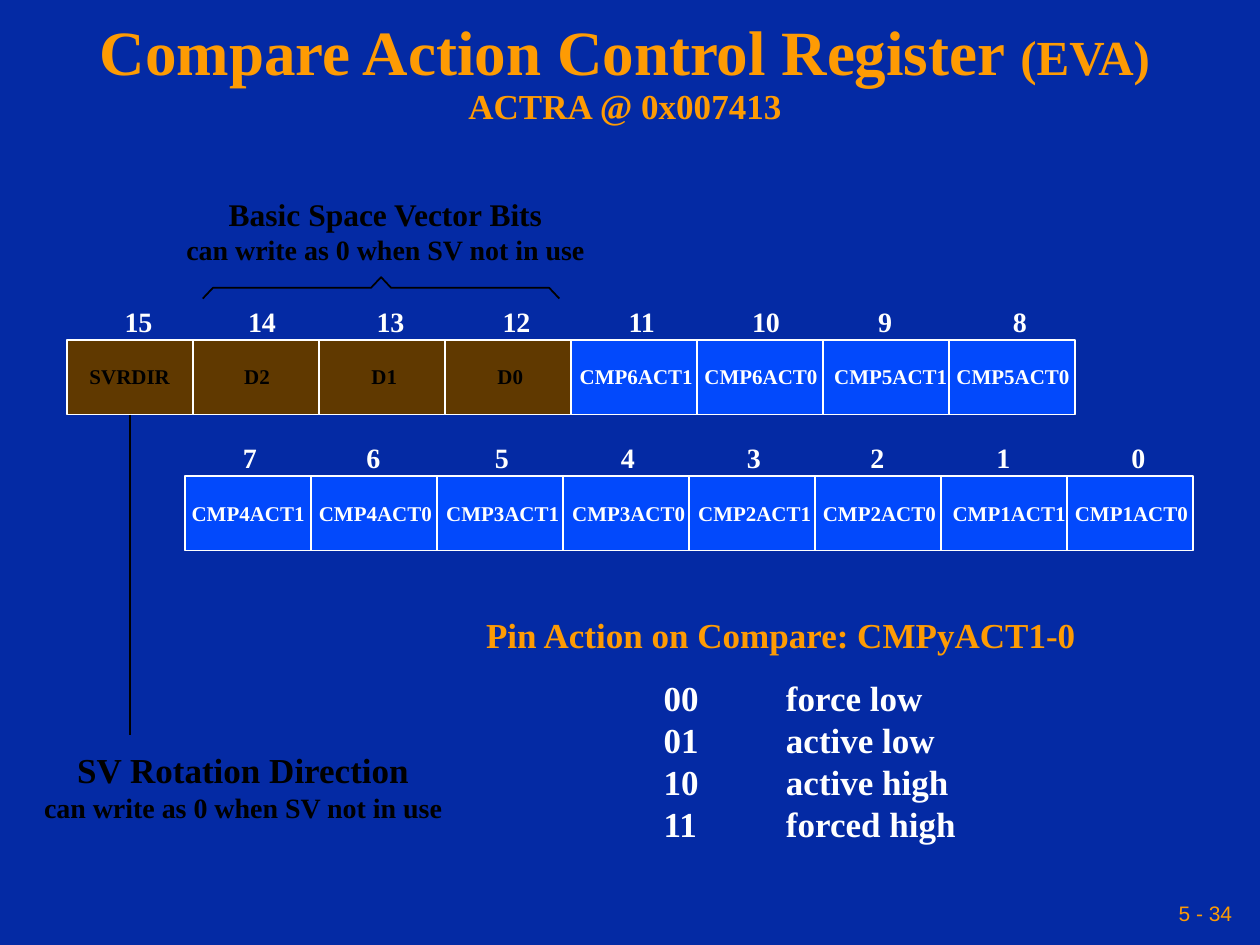
"""Build the slide describing the ACTRA compare action control register."""
from dataclasses import dataclass

import lxml.etree
import pptx
import pptx.dml.color
import pptx.enum.shapes
import pptx.enum.text
import pptx.oxml.ns
import pptx.util

Inches = pptx.util.Inches
Pt = pptx.util.Pt
ALIGN = pptx.enum.text.PP_ALIGN
ANCHOR = pptx.enum.text.MSO_ANCHOR
AUTO = pptx.enum.text.MSO_AUTO_SIZE

SERIF = "Times New Roman"
NAVY, BLUE, BROWN = "042AA4", "0249FC", "603900"
ORANGE, WHITE, BLACK = "FE9B03", "FFFFFF", "000000"

CELL_W, CELL_H = 1, 0.59
NUMBER_DX = (0.36, 0.34, 0.36, 0.36, 0.36, 0.34, 0.34, 0.41)
LABEL_DX = (0, 0.01, 0.02, 0.02, 0.02, 0.01, 0.04, 0.01)


@dataclass
class Register:
    left: float
    top: float
    high_bit: int
    fields: tuple
    space_vector: int = 0


@dataclass
class Line:
    text: str
    size: float
    color: str
    spacing: float = 1


REGISTERS = (
    Register(0.53, 2.7, 15, ("SVRDIR", "D2", "D1", "D0", "CMP6ACT1", "CMP6ACT0",
                             "CMP5ACT1", "CMP5ACT0"), 4),
    Register(1.47, 3.78, 7, ("CMP4ACT1", "CMP4ACT0", "CMP3ACT1", "CMP3ACT0",
                             "CMP2ACT1", "CMP2ACT0", "CMP1ACT1", "CMP1ACT0")),
)
ACTIONS = (("00", "force low"), ("01", "active low"),
           ("10", "active high"), ("11", "forced high"))
SV_NOTE = "can write as 0 when SV not in use"


def rgb(color: str) -> pptx.dml.color.RGBColor:
    return pptx.dml.color.RGBColor.from_string(color)


def add_run(p, text: str, size: float, color: str, font: str = SERIF, bold: bool = True):
    r = p.add_run()
    r.text = text
    r.font.size = Pt(size)
    r.font.name = font
    r.font.bold = bold
    r.font.color.rgb = rgb(color)


def add_tabs(p, stops: tuple):
    tabs = lxml.etree.SubElement(p._p.get_or_add_pPr(), pptx.oxml.ns.qn("a:tabLst"))
    for stop in stops:
        lxml.etree.SubElement(tabs, pptx.oxml.ns.qn("a:tab"), pos=str(Inches(stop)), algn="l")


def add_text(s, left: float, top: float, width: float, height: float,
             lines: list, align=ALIGN.CENTER, tabs: tuple = ()):
    sp = s.shapes.add_textbox(Inches(left), Inches(top), Inches(width), Inches(height))
    tf = sp.text_frame
    tf.word_wrap = False
    tf.auto_size = AUTO.SHAPE_TO_FIT_TEXT
    for i, line in enumerate(lines):
        p = tf.add_paragraph() if i else tf.paragraphs[0]
        p.alignment = align
        if line.spacing != 1:
            p.line_spacing = line.spacing
        if tabs:
            add_tabs(p, tabs)
        add_run(p, line.text, line.size, line.color)


def add_cell(s, left: float, top: float, fill: str):
    sp = s.shapes.add_shape(pptx.enum.shapes.MSO_SHAPE.RECTANGLE, Inches(left), Inches(top),
                            Inches(CELL_W), Inches(CELL_H))
    sp.shadow.inherit = False
    sp.fill.solid()
    sp.fill.fore_color.rgb = rgb(fill)
    sp.line.color.rgb = rgb(WHITE)
    sp.line.width = Pt(1)
    return sp


def add_register(s, reg: Register) -> list:
    cells = []
    for i, field in enumerate(reg.fields):
        left = reg.left + i * CELL_W
        in_vector = i < reg.space_vector
        cells.append(add_cell(s, left, reg.top, BROWN if in_vector else BLUE))
        bit = str(reg.high_bit - i)
        add_text(s, left + NUMBER_DX[i], reg.top - 0.33, 0.2 + 0.11 * len(bit), 0.36,
                 [Line(bit, 16, WHITE)], ALIGN.LEFT)
    for i, field in enumerate(reg.fields):
        color = BLACK if i < reg.space_vector else WHITE
        left = reg.left + i * CELL_W + LABEL_DX[i] - 0.05
        add_text(s, left, reg.top + 0.14, 1.1, 0.3, [Line(field, 12, color)])
    return cells


def add_brace(s, left: float, top: float, width: float, height: float):
    mid, right, bend, low = left + width / 2, left + width, top + height / 2, top + height
    points = [(left, low), (left + 0.08, bend), (mid - 0.08, bend), (mid, top),
              (mid + 0.08, bend), (right - 0.08, bend), (right, low)]
    points = [(Inches(x), Inches(y)) for x, y in points]
    fb = s.shapes.build_freeform(*points[0])
    fb.add_line_segments(points[1:], close=False)
    sp = fb.convert_to_shape()
    sp.shadow.inherit = False
    sp.fill.background()
    sp.line.color.rgb = rgb(BLACK)
    sp.line.width = Pt(1)


def add_leader(s, cell, bottom: float):
    x = cell.left + cell.width // 2
    line = s.shapes.add_connector(pptx.enum.shapes.MSO_CONNECTOR.STRAIGHT,
                                  x, cell.top + cell.height, x, Inches(bottom))
    line.begin_connect(cell, 2)
    line.line.color.rgb = rgb(BLACK)
    line.line.width = Pt(1)
    lxml.etree.SubElement(line._element.spPr, pptx.oxml.ns.qn("a:effectLst"))


def set_title(s):
    sp = s.shapes.title
    sp.left, sp.top, sp.width, sp.height = Inches(0), Inches(0.17), Inches(9.92), Inches(0.83)
    tf = sp.text_frame
    tf.auto_size = AUTO.NONE
    tf.word_wrap = True
    tf.vertical_anchor = ANCHOR.MIDDLE
    p = tf.paragraphs[0]
    p.alignment = ALIGN.CENTER
    p.line_spacing = 0.9
    add_run(p, "Compare Action Control Register ", 36, ORANGE)
    add_run(p, "(EVA)", 28, ORANGE)
    lxml.etree.SubElement(p._p.add_br(), pptx.oxml.ns.qn("a:rPr"), sz="2800")
    add_run(p, "ACTRA @ 0x007413", 20, ORANGE)


def add_page_number(s):
    sp = s.shapes.add_textbox(Inches(6.83), Inches(7.08), Inches(3), Inches(0.33))
    tf = sp.text_frame
    tf.word_wrap = True
    tf.vertical_anchor = ANCHOR.MIDDLE
    tf.margin_left = tf.margin_right = Inches(0.05)
    p = tf.paragraphs[0]
    p.alignment = ALIGN.RIGHT
    add_run(p, "5 - 34", 12, ORANGE, "Arial", False)


def main():
    prs = pptx.Presentation()
    prs.slide_width, prs.slide_height = Inches(10), Inches(7.5)
    s = prs.slides.add_slide(prs.slide_layouts[5])
    s.background.fill.solid()
    s.background.fill.fore_color.rgb = rgb(NAVY)
    set_title(s)
    cells = [add_register(s, reg) for reg in REGISTERS]
    add_brace(s, 1.61, 2.2, 2.83, 0.17)
    add_leader(s, cells[0][0], 5.83)
    add_text(s, 1.38, 1.5, 3.36, 0.66,
             [Line("Basic Space Vector Bits", 18, BLACK), Line(SV_NOTE, 16, BLACK)])
    add_text(s, 0.25, 5.89, 3.36, 0.7,
             [Line("SV Rotation Direction", 20, BLACK), Line(SV_NOTE, 16, BLACK)])
    actions = [Line(f"\t{code}\t{action}", 20, WHITE, 1 if i else 1.5)
               for i, (code, action) in enumerate(ACTIONS)]
    add_text(s, 3.76, 4.82, 4.9, 1.93,
             [Line("Pin Action on Compare: CMPyACT1-0", 20, ORANGE)] + actions,
             ALIGN.LEFT, (1.41, 2.38))
    add_page_number(s)
    prs.save("out.pptx")


if __name__ == "__main__":
    main()
